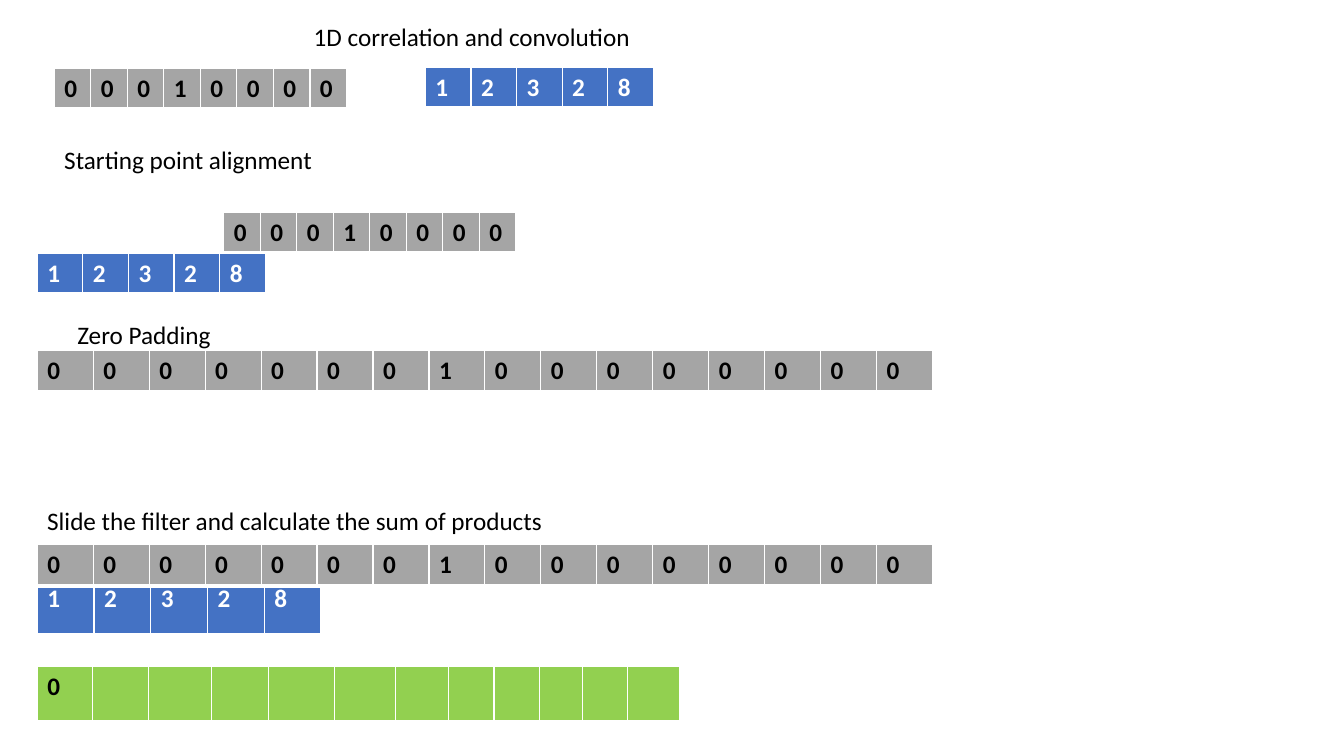
from lxml.etree import SubElement
from pptx import Presentation
from pptx.dml.color import RGBColor
from pptx.enum.text import MSO_ANCHOR, MSO_AUTO_SIZE, PP_ALIGN
from pptx.oxml.ns import qn
from pptx.util import Cm, Pt

COLORS = {
    "signal": "A5A5A5",
    "filter": "4472C4",
    "result": "92D050",
    "dark": "000000",
    "light": "FFFFFF",
}
FONT = "Calibri"
BORDERS = {"lnL": 1, "lnR": 1, "lnT": 1, "lnB": 3}
SIGNAL = "00010000"
FILTER = "12328"
PADDING = "0" * (len(FILTER) - 1)
PADDED_SIGNAL = PADDING + SIGNAL + PADDING
LEFT = 0.94
SIGNAL_WIDTHS = [0.92] * len(SIGNAL)
FILTER_WIDTHS = [1.15] * len(FILTER)
PADDED_WIDTHS = [1.41] * len(PADDED_SIGNAL)
WIDE_FILTER_WIDTHS = [1.43] * len(FILTER)
RESULT_WIDTHS = [1.4, 1.4, 1.6, 1.42, 1.68, 1.52, 1.35, 1.14, 1.14, 1.09, 1.14, 1.3]


def color(name):
    return RGBColor.from_string(COLORS[name])


def write_text(text_frame, text, color_name="dark", bold=False):
    paragraph = text_frame.paragraphs[0]
    paragraph.text = text
    paragraph.alignment = PP_ALIGN.LEFT
    font = paragraph.font
    font.name = FONT
    font.size = Pt(18)
    font.bold = bold
    font.color.rgb = color(color_name)


def format_label(shape, text, left, top, width):
    """Place a text box or placeholder and set its one line of text."""
    shape.left, shape.top = Cm(left), Cm(top)
    shape.width, shape.height = Cm(width), Cm(1.02)
    text_frame = shape.text_frame
    text_frame.word_wrap = True
    text_frame.auto_size = MSO_AUTO_SIZE.SHAPE_TO_FIT_TEXT
    text_frame.vertical_anchor = MSO_ANCHOR.TOP
    write_text(text_frame, text)


def add_label(slide, text, left, top, width):
    shape = slide.shapes.add_textbox(0, 0, 0, 0)
    format_label(shape, text, left, top, width)


def add_borders(cell):
    properties = cell._tc.get_or_add_tcPr()
    for side, points in BORDERS.items():
        line = SubElement(properties, qn(f"a:{side}"), w=str(Pt(points)))
        fill = SubElement(line, qn("a:solidFill"))
        SubElement(fill, qn("a:srgbClr"), val=COLORS["light"])


def add_array(slide, values, left, top, widths, height=1.02, fill="signal", text_color="dark"):
    """Draw a one-row table; columns beyond the values stay empty."""
    frame = slide.shapes.add_table(
        1, len(widths), Cm(left), Cm(top), Cm(sum(widths)), Cm(height)
    )
    table = frame.table
    table.first_row = False
    table.horz_banding = False
    for index, width in enumerate(widths):
        table.columns[index].width = Cm(width)
        cell = table.cell(0, index)
        add_borders(cell)
        cell.fill.solid()
        cell.fill.fore_color.rgb = color(fill)
        write_text(cell.text_frame, values[index:index + 1], text_color, bold=True)


def add_filter(slide, left, top, widths, height=1.02):
    add_array(slide, FILTER, left, top, widths, height, fill="filter", text_color="light")


def main():
    presentation = Presentation()
    presentation.slide_width = Cm(33.87)
    presentation.slide_height = Cm(19.05)
    slide = presentation.slides.add_slide(presentation.slide_layouts[5])
    format_label(slide.shapes.title, "1D correlation and convolution", 7.65, 0.41, 10.77)

    add_array(slide, SIGNAL, 1.37, 1.73, SIGNAL_WIDTHS)
    add_filter(slide, 10.72, 1.7, FILTER_WIDTHS)

    add_label(slide, "Starting point alignment", 1.37, 3.51, 9.7)
    add_array(slide, SIGNAL, 5.64, 5.36, SIGNAL_WIDTHS)
    add_filter(slide, LEFT, 6.38, FILTER_WIDTHS)

    add_label(slide, "Zero Padding", 1.7, 7.92, 7.65)
    add_array(slide, PADDED_SIGNAL, LEFT, 8.84, PADDED_WIDTHS, height=1.04)

    add_label(slide, "Slide the filter and calculate the sum of products", LEFT, 12.62, 16.92)
    add_filter(slide, LEFT, 14.58, WIDE_FILTER_WIDTHS, height=1.42)
    add_array(slide, PADDED_SIGNAL, LEFT, 13.72, PADDED_WIDTHS, height=1.04)
    add_array(slide, "0", LEFT, 16.79, RESULT_WIDTHS, height=1.4, fill="result")

    presentation.save("out.pptx")


if __name__ == "__main__":
    main()
